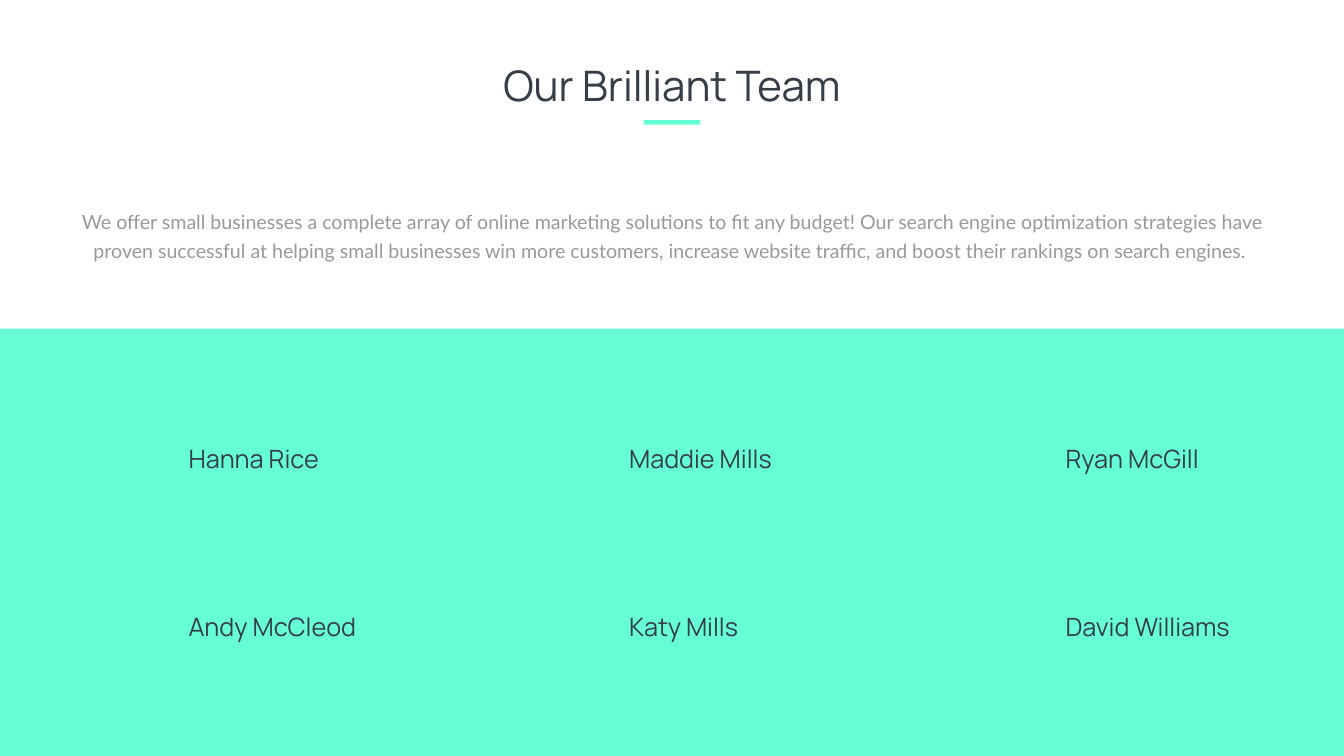
from pptx import Presentation
from pptx import util as u
from pptx.dml.color import RGBColor
from pptx.enum import shapes, text
from pptx.oxml.ns import qn
from lxml import etree

# Content
HEADING = "Our Brilliant Team"
INTRO = (
    "We offer small businesses a complete array of online marketing solutions "
    "to fit any budget! Our search engine optimization strategies have proven "
    "successful at helping small businesses win more customers, increase website "
    "traffic, and boost their rankings on search engines. "
)
TEAM = [
    ["Hanna Rice", "Maddie Mills", "Ryan McGill"],
    ["Andy McCleod", "Katy Mills", "David Williams"],
]

# Style and layout, lengths in centimetres
COLOURS = {"dark": "363E48", "grey": "999999", "mint": "66FFD5"}
SLIDE_W, SLIDE_H = 67.72, 38.1
BAND_TOP = 16.56
COLUMN_LEFTS = [9.25, 31.45, 53.44]
FIRST_ROW, ROW_STEP = 22.2, 8.48
NAME_W, NAME_H = 10.24, 1.8


def place(part, left, top, width, height):
    part.left, part.top = u.Cm(left), u.Cm(top)
    part.width, part.height = u.Cm(width), u.Cm(height)


def centred(width):
    return (SLIDE_W - width) / 2


def write(part, words, size, font, colour, align=text.PP_ALIGN.LEFT):
    frame = part.text_frame
    frame.word_wrap = True
    frame.auto_size = text.MSO_AUTO_SIZE.NONE
    frame.vertical_anchor = text.MSO_ANCHOR.TOP
    paragraph = frame.paragraphs[0]
    paragraph.alignment = align
    paragraph.space_before = u.Pt(0)
    run = paragraph.add_run()
    run.text = words
    run.font.size = u.Pt(size)
    run.font.name = font
    run.font.color.rgb = RGBColor.from_string(COLOURS[colour])
    return paragraph


def add_bar(slide, left, top, width, height):
    bar = slide.shapes.add_shape(
        shapes.MSO_SHAPE.RECTANGLE, u.Cm(left), u.Cm(top), u.Cm(width), u.Cm(height))
    bar.fill.solid()
    bar.fill.fore_color.rgb = RGBColor.from_string(COLOURS["mint"])
    bar.line.fill.background()
    bar.shadow.inherit = False


def main():
    deck = Presentation()
    deck.slide_width, deck.slide_height = u.Cm(SLIDE_W), u.Cm(SLIDE_H)
    slide = deck.slides.add_slide(deck.slide_layouts[1])
    heading, intro = slide.placeholders

    # Heading with its underline
    place(heading, centred(37.24), 2.87, 37.24, 2.82)
    write(heading, HEADING, 60, "Manrope", "dark", text.PP_ALIGN.CENTER)
    add_bar(slide, centred(2.87), 6.05, 2.87, 0.23)

    # Introduction, without a bullet
    place(intro, centred(60.07), 10.21, 60.07, 3.02)
    paragraph = write(intro, INTRO, 28, "Lato", "grey", text.PP_ALIGN.CENTER)
    paragraph.line_spacing = u.Pt(40.8)
    properties = paragraph._p.get_or_add_pPr()
    properties.set("marL", "0")
    properties.set("indent", "0")
    etree.SubElement(properties, qn("a:buNone"))

    # Team names on the coloured band
    add_bar(slide, 0, BAND_TOP, SLIDE_W, SLIDE_H - BAND_TOP)
    for row, members in enumerate(TEAM):
        top = FIRST_ROW + row * ROW_STEP
        for left, member in zip(COLUMN_LEFTS, members):
            name = slide.shapes.add_textbox(
                u.Cm(left), u.Cm(top), u.Cm(NAME_W), u.Cm(NAME_H))
            write(name, member, 36, "Manrope", "dark")

    deck.save("out.pptx")


if __name__ == "__main__":
    main()
